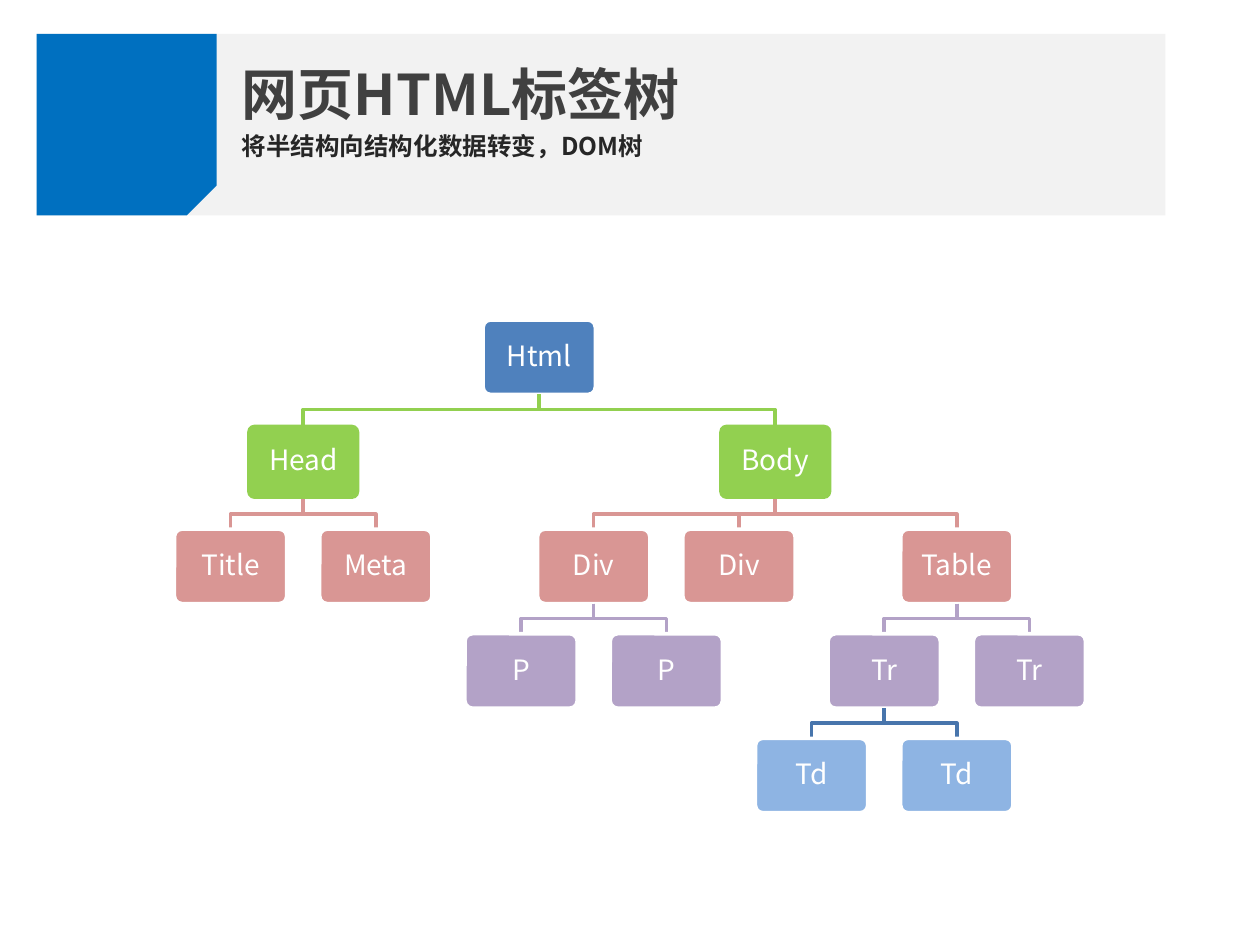
from lxml import etree
from pptx import Presentation
from pptx.dml.color import RGBColor
from pptx.enum import shapes, text
from pptx.oxml import ns
from pptx.util import Inches, Pt

FONT = "Noto Sans CJK SC"
COLORS = {
    "white": "FFFFFF", "banner": "F2F2F2", "accent": "0070C0",
    "title": "404040", "subtitle": "262626",
    "blue": "4F81BD", "green": "92D050", "red": "D99694",
    "purple": "B3A2C7", "sky": "8EB4E3", "branch_blue": "4875AC",
}
# Per tree level: node fill, node outline, colour of the branch above
LEVELS = [
    ("blue", "white", None),
    ("green", None, "green"),
    ("red", "white", "red"),
    ("purple", "white", "purple"),
    ("sky", "white", "branch_blue"),
]
# Each node is (tag, children), or (tag, column) for a leaf
TREE = ("Html", [
    ("Head", [("Title", 0), ("Meta", 2)]),
    ("Body", [
        ("Div", [("P", 4), ("P", 6)]),
        ("Div", 7),
        ("Table", [("Tr", [("Td", 8), ("Td", 10)]), ("Tr", 11)]),
    ]),
])
FIRST_CENTER, LAST_CENTER, LAST_COLUMN = 1.83, 8.17, 11
COLUMN_STEP = (LAST_CENTER - FIRST_CENTER) / LAST_COLUMN
TREE_TOP, LEVEL_STEP = 2.54, 0.83
NODE_WIDTH, NODE_HEIGHT = 0.89, 0.59


def color(name):
    return RGBColor.from_string(COLORS[name])


def write(shape, words, size, color_name, bold=False, spacing=1.0, align=text.PP_ALIGN.LEFT):
    frame = shape.text_frame
    frame.word_wrap = True
    paragraph = frame.paragraphs[0]
    paragraph.alignment = align
    paragraph.line_spacing = spacing
    run = paragraph.add_run()
    run.text = words
    run.font.name = FONT
    run.font.size = Pt(size)
    run.font.bold = bold
    run.font.color.rgb = color(color_name)
    etree.SubElement(run.font._element, ns.qn("a:ea"), typeface=FONT)


def add_block(slide, preset, left, top, width, height, fill, line=None):
    shape = slide.shapes.add_shape(
        preset, Inches(left), Inches(top), Inches(width), Inches(height))
    shape.shadow.inherit = False
    shape.fill.solid()
    shape.fill.fore_color.rgb = color(fill)
    if line:
        shape.line.color.rgb = color(line)
        shape.line.width = Pt(2)
    else:
        shape.line.fill.background()
    return shape


def add_heading(slide, words, top, height, **style):
    box = slide.shapes.add_textbox(Inches(1.82), Inches(top), Inches(7.3), Inches(height))
    write(box, words, bold=True, **style)
    box.text_frame.auto_size = text.MSO_AUTO_SIZE.SHAPE_TO_FIT_TEXT


def add_banner(slide):
    preset = shapes.MSO_SHAPE
    add_block(slide, preset.RECTANGLE, 0.29, 0.27, 8.96, 1.44, "banner")
    corner = add_block(slide, preset.SNIP_1_RECTANGLE, 0.29, 0.27, 1.43, 1.44, "accent")
    corner.rotation = 180
    corner._element.spPr.xfrm.set("flipH", "1")


def column_of(node):
    """Column of a leaf, or the midpoint of the outer children."""
    content = node[1]
    if isinstance(content, list):
        return (column_of(content[0]) + column_of(content[-1])) / 2
    return content


def center_of(node):
    return FIRST_CENTER + column_of(node) * COLUMN_STEP


def add_branch(slide, parent_x, child_x, child_top, color_name):
    start = child_top - LEVEL_STEP + NODE_HEIGHT
    middle = (start + child_top) / 2
    builder = slide.shapes.build_freeform(Inches(parent_x), Inches(start))
    corners = [(parent_x, middle), (child_x, middle), (child_x, child_top)]
    builder.add_line_segments([(Inches(x), Inches(y)) for x, y in corners], close=False)
    branch = builder.convert_to_shape()
    branch.shadow.inherit = False
    branch.fill.background()
    branch.line.color.rgb = color(color_name)
    branch.line.width = Pt(2)


def add_node(slide, node, level=0):
    """Draw a node and everything below it."""
    tag, content = node
    fill, line, _ = LEVELS[level]
    center = center_of(node)
    box = add_block(slide, shapes.MSO_SHAPE.ROUNDED_RECTANGLE,
                    center - NODE_WIDTH / 2, TREE_TOP + level * LEVEL_STEP,
                    NODE_WIDTH, NODE_HEIGHT, fill, line)
    box.adjustments[0] = 0.1
    frame = box.text_frame
    frame.margin_left = frame.margin_right = Inches(0.09)
    frame.margin_top = frame.margin_bottom = Inches(0.09)
    frame.vertical_anchor = text.MSO_ANCHOR.MIDDLE
    write(box, tag, 16, "white", spacing=0.9, align=text.PP_ALIGN.CENTER)
    if isinstance(content, list):
        child_top = TREE_TOP + (level + 1) * LEVEL_STEP
        for child in content:
            add_branch(slide, center, center_of(child), child_top, LEVELS[level + 1][2])
            add_node(slide, child, level + 1)


def main():
    presentation = Presentation()
    presentation.slide_width = Inches(10)
    presentation.slide_height = Inches(7.5)
    slide = presentation.slides.add_slide(presentation.slide_layouts[6])
    add_banner(slide)
    add_node(slide, TREE)
    add_heading(slide, "将半结构向结构化数据转变，DOM树", 0.99, 0.34, size=14, color_name="subtitle")
    add_heading(slide, "网页HTML标签树", 0.16, 0.91, size=32, color_name="title", spacing=1.5)
    presentation.save("out.pptx")


if __name__ == "__main__":
    main()
